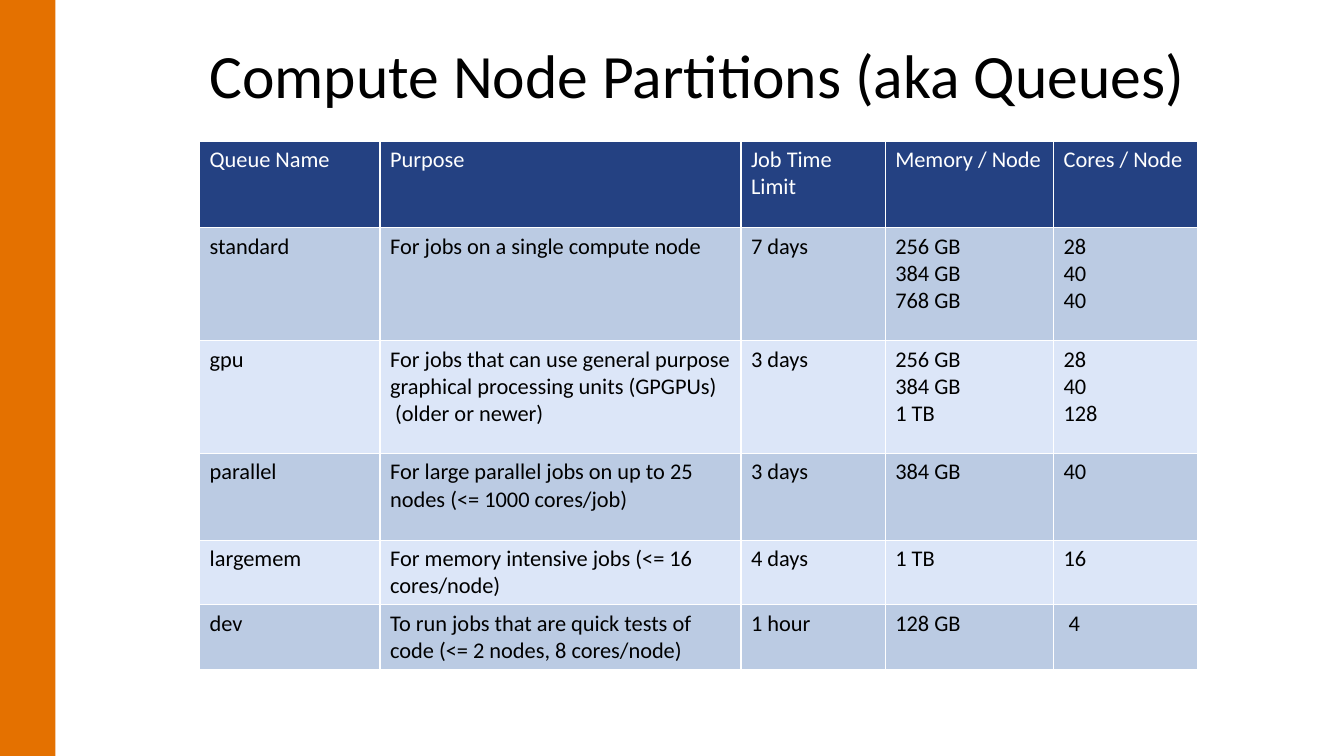
from dataclasses import dataclass

from lxml import etree
from pptx import Presentation
from pptx import util as u
from pptx.dml.color import RGBColor
from pptx.enum import shapes, text
from pptx.oxml import ns
from pptx.slide import Slide
from pptx.table import _Cell
from pptx.text.text import TextFrame

COLORS = {
    "accent": "E47100",
    "header": "244182",
    "band_dark": "BBCBE3",
    "band_light": "DCE6F8",
    "white": "FFFFFF",
    "black": "000000",
}
FONT = "Calibri"
TABLE_LEFT, TABLE_TOP = 1.98, 1.4
COLUMN_WIDTHS = (1.79, 3.58, 1.43, 1.67, 1.43)


@dataclass(frozen=True)
class TableRow:
    height: float
    cells: tuple[str, ...]


ROWS = (
    TableRow(0.86, ("Queue Name", "Purpose", "Job Time Limit", "Memory / Node", "Cores / Node")),
    TableRow(1.12, ("standard", "For jobs on a single compute node", "7 days",
                    "256 GB\n384 GB\n768 GB", "28\n40\n40")),
    TableRow(1.12, ("gpu", "For jobs that can use general purpose graphical processing units "
                    "(GPGPUs)\n (older or newer)", "3 days",
                    "256 GB\n384 GB\n1 TB", "28\n40\n128")),
    TableRow(0.86, ("parallel", "For large parallel jobs on up to 25 nodes (<= 1000 cores/job)",
                    "3 days", "384 GB", "40")),
    TableRow(0.64, ("largemem", "For memory intensive jobs (<= 16 cores/node)",
                    "4 days", "1 TB", "16")),
    TableRow(0.64, ("dev", "To run jobs that are quick tests of code (<= 2 nodes, 8 cores/node)",
                    "1 hour", "128 GB", " 4")),
)


def rgb(name: str) -> RGBColor:
    return RGBColor.from_string(COLORS[name])


def format_text(tf: TextFrame, size: float, color: str) -> None:
    for p in tf.paragraphs:
        for r in p.runs:
            r.font.name = FONT
            r.font.size = u.Pt(size)
            r.font.bold = False
            r.font.color.rgb = rgb(color)


def add_borders(cell: _Cell) -> None:
    tc_pr = cell._tc.get_or_add_tcPr()
    for side in "LRTB":
        ln = etree.SubElement(tc_pr, ns.qn(f"a:ln{side}"), w=str(u.Pt(1)))
        fill = etree.SubElement(ln, ns.qn("a:solidFill"))
        etree.SubElement(fill, ns.qn("a:srgbClr"), val=COLORS["white"])


def add_side_bar(s: Slide) -> None:
    sp = s.shapes.add_shape(shapes.MSO_SHAPE.RECTANGLE, 0, 0, u.Inches(0.55), u.Inches(7.5))
    sp.shadow.inherit = False
    sp.fill.solid()
    sp.fill.fore_color.rgb = rgb("accent")
    sp.line.fill.background()


def add_title(s: Slide, title: str) -> None:
    sp = s.shapes.add_textbox(u.Inches(1.98), u.Inches(0.4), u.Inches(10.5), u.Inches(1.45))
    tf = sp.text_frame
    tf.word_wrap = True
    tf.vertical_anchor = text.MSO_ANCHOR.TOP
    tf.text = title
    tf.paragraphs[0].line_spacing = 0.9
    format_text(tf, 44, "black")


def add_queue_table(s: Slide, rows: tuple[TableRow, ...]) -> None:
    frame = s.shapes.add_table(
        len(rows), len(COLUMN_WIDTHS), u.Inches(TABLE_LEFT), u.Inches(TABLE_TOP),
        u.Inches(sum(COLUMN_WIDTHS)), u.Inches(sum(row.height for row in rows)))
    table = frame.table
    for column, width in zip(table.columns, COLUMN_WIDTHS):
        column.width = u.Inches(width)
    for i, row in enumerate(rows):
        table.rows[i].height = u.Inches(row.height)
        is_header = i == 0
        band = "header" if is_header else "band_dark" if i % 2 else "band_light"
        for j, content in enumerate(row.cells):
            cell = table.cell(i, j)
            cell.text_frame.text = content
            format_text(cell.text_frame, 16, "white" if is_header else "black")
            add_borders(cell)
            cell.fill.solid()
            cell.fill.fore_color.rgb = rgb(band)


def main() -> None:
    prs = Presentation()
    prs.slide_width, prs.slide_height = u.Inches(13.33), u.Inches(7.5)
    s = prs.slides.add_slide(prs.slide_layouts[6])
    add_side_bar(s)
    add_title(s, "Compute Node Partitions (aka Queues)")
    add_queue_table(s, ROWS)
    prs.save("out.pptx")


if __name__ == "__main__":
    main()
